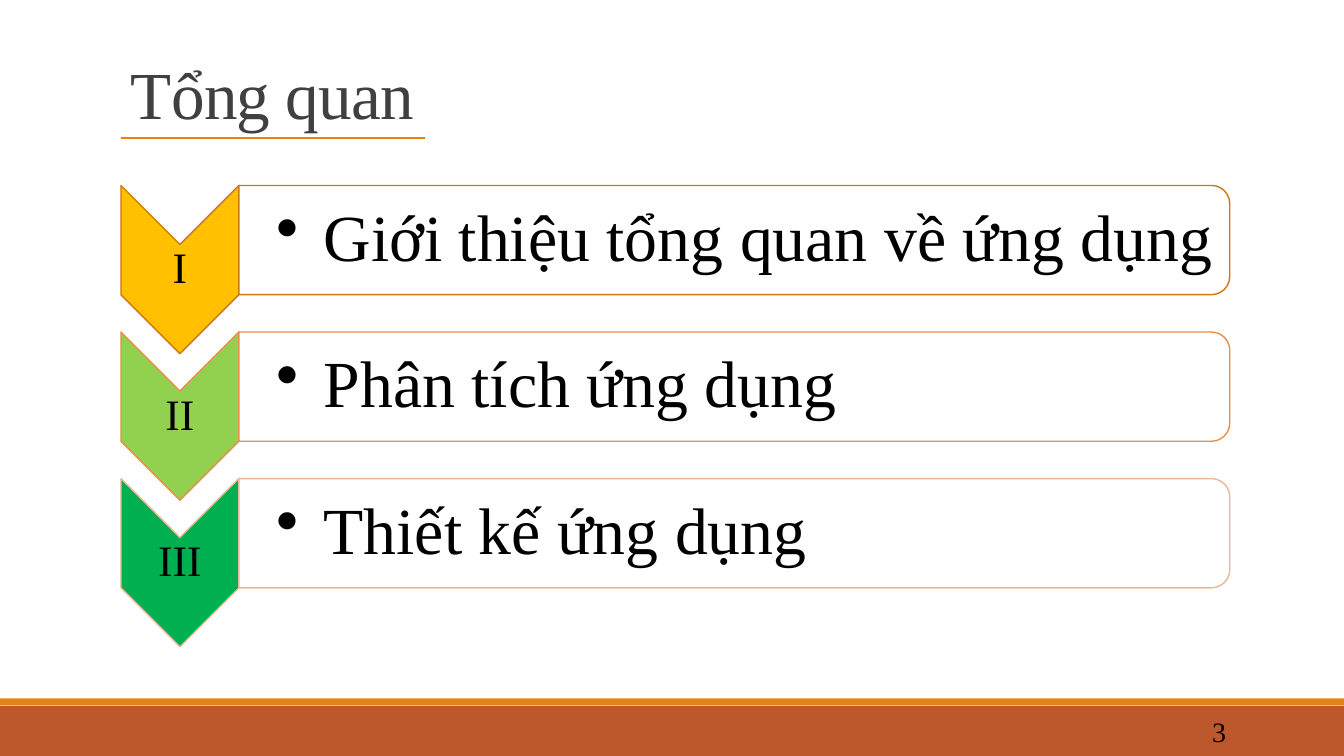
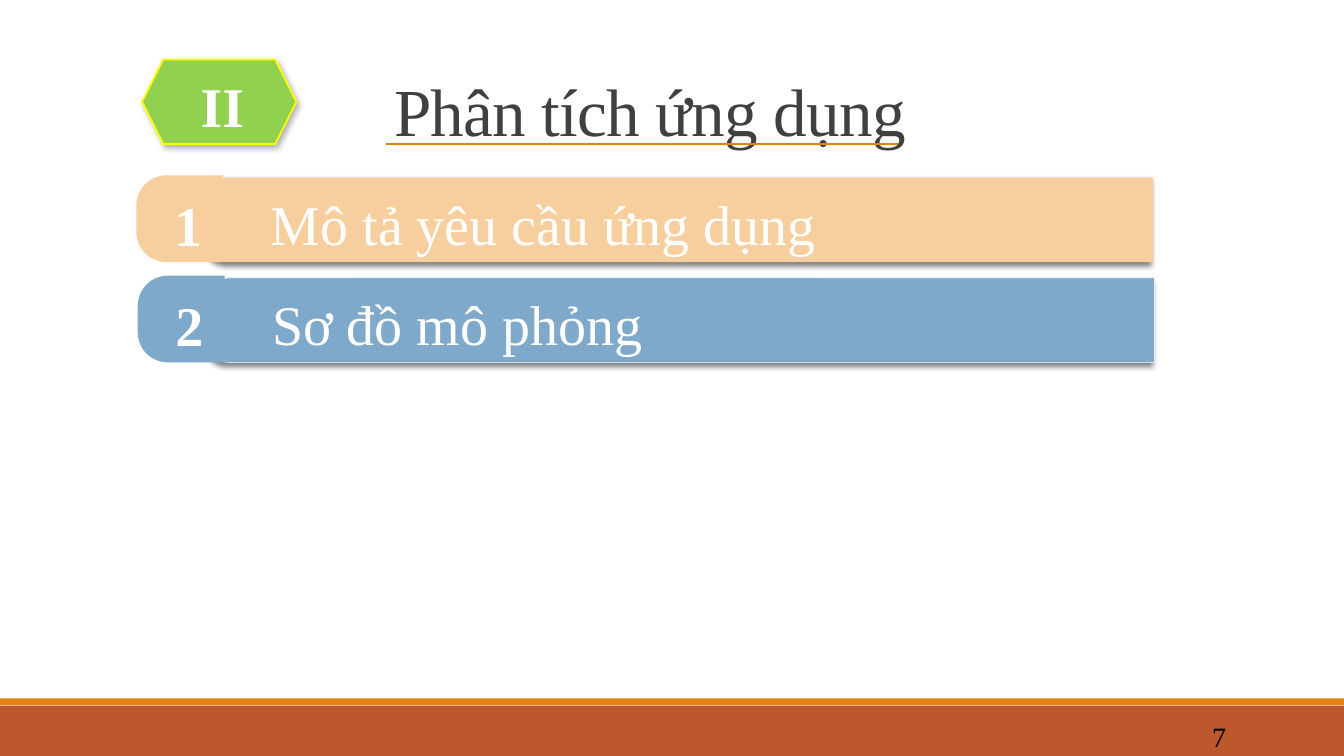
from pptx import Presentation
from pptx.dml.color import RGBColor
from pptx.enum.shapes import MSO_CONNECTOR as Connector, MSO_SHAPE as Shape
from pptx.enum.text import MSO_ANCHOR as Anchor, PP_ALIGN as Align
from pptx.oxml.ns import qn
from pptx.util import Pt
from lxml.etree import SubElement

FONT = "Times New Roman"
BLACK, WHITE, TITLE_GRAY = "000000", "FFFFFF", "404040"
ORANGE, RUST, GREEN = "E48312", "BD582C", "92D050"
WIDTH, HEIGHT = 960, 540

OVERVIEW = {
    "title": "Tổng quan",
    "title_box": (86.4, 35.3, 792, 63.4),
    "underline": (86.4, 303.8, 98.6),
    "number": "3",
    "number_top": 508.3,
}
CHAPTERS = [
    ("I", "Giới thiệu tổng quan về ứng dụng", "FFC000", "CF7710"),
    ("II", "Phân tích ứng dụng", GREEN, "E8904A"),
    ("III", "Thiết kế ứng dụng", "00B050", "ECB698"),
]
ANALYSIS = {
    "title": "Phân tích ứng dụng",
    "title_box": (274.6, 20.9, 640, 90),
    "underline": (275.8, 641.5, 103),
    "number": "7",
    "number_top": 511.2,
}
TOPICS = [
    ("1", "Mô tả yêu cầu ứng dụng", "F7CE9D", None),
    ("2", "Sơ đồ mô phỏng", "7EA9CA", WHITE),
]


def color(value):
    return RGBColor.from_string(value)


def add_box(page, kind, frame, fill, line=None, weight=1, turn=0, adjust=()):
    left, top, width, height = frame
    if turn in (90, 270):
        left, top = left + (width - height) / 2, top + (height - width) / 2
        width, height = height, width
    box = page.shapes.add_shape(kind, Pt(left), Pt(top), Pt(width), Pt(height))
    box.rotation = turn
    for index, value in enumerate(adjust):
        box.adjustments[index] = value
    box.fill.solid()
    box.fill.fore_color.rgb = color(fill)
    if line:
        box.line.color.rgb = color(line)
        box.line.width = Pt(weight)
    else:
        box.line.fill.background()
    box.shadow.inherit = False
    return box


def add_shadow(box, alpha, blur, distance, angle):
    effects = box._element.spPr.find(qn("a:effectLst"))
    shadow = SubElement(effects, qn("a:outerShdw"), blurRad=str(Pt(blur)),
                        dist=str(Pt(distance)), dir=str(angle * 60000),
                        algn="ctr", rotWithShape="0")
    tint = SubElement(shadow, qn("a:srgbClr"), val=BLACK)
    SubElement(tint, qn("a:alpha"), val=str(alpha * 1000))


def add_text(page, frame, text, size, ink, align=Align.LEFT, anchor=Anchor.MIDDLE,
             bold=False, spacing=None, margins=(7.2, 3.6, 7.2, 3.6)):
    box = page.shapes.add_textbox(*map(Pt, frame))
    body = box.text_frame
    body.word_wrap = True
    body.vertical_anchor = anchor
    (body.margin_left, body.margin_top,
     body.margin_right, body.margin_bottom) = map(Pt, margins)
    para = body.paragraphs[0]
    para.text = text
    para.alignment = align
    if spacing:
        para.line_spacing = spacing
    font = para.font
    font.name, font.size, font.bold = FONT, Pt(size), bold
    font.color.rgb = color(ink)
    return para


def add_bullet(para, indent):
    props = para._p.get_or_add_pPr()
    props.set("marL", str(Pt(indent)))
    props.set("indent", str(-Pt(indent)))
    bullet = props.makeelement(qn("a:buChar"), {"char": "•"})
    props.find(qn("a:defRPr")).addprevious(bullet)


def add_page(deck, content):
    page = deck.slides.add_slide(deck.slide_layouts[6])
    add_box(page, Shape.RECTANGLE, (0, 504, WIDTH, 36), RUST)
    add_box(page, Shape.RECTANGLE, (0, 498.8, WIDTH, 5), ORANGE)
    title = add_text(page, content["title_box"], content["title"], 48, TITLE_GRAY,
                     anchor=Anchor.BOTTOM, spacing=0.85)
    title.runs[0]._r.get_or_add_rPr().set("spc", "-50")
    start, end, level = map(Pt, content["underline"])
    rule = page.shapes.add_connector(Connector.STRAIGHT, start, level, end, level)
    rule.line.color.rgb = color(ORANGE)
    rule.line.width = Pt(1.5)
    SubElement(rule._element.spPr, qn("a:effectLst"))
    add_text(page, (779.8, content["number_top"], 103, 28.8), content["number"],
             20, BLACK, Align.RIGHT)
    return page


def add_chapter(page, top, numeral, text, fill, line):
    add_box(page, Shape.CHEVRON, (86.4, top, 84.2, 120.2), fill, line, turn=90)
    add_text(page, (86.4, top + 42.2, 84.2, 36), numeral, 31, BLACK, Align.CENTER,
             spacing=0.9, margins=(1.4,) * 4)
    add_box(page, Shape.ROUND_2_SAME_RECTANGLE, (170.6, top, 707.8, 78), WHITE, line,
            turn=90)
    para = add_text(page, (170.6, top + 3.6, 704.2, 70.6), text, 47, BLACK,
                    spacing=0.9, margins=(26.6, 2.2, 2.2, 2.2))
    add_bullet(para, 34)


def add_topic(page, left, top, number, text, fill, line):
    bar = add_box(page, Shape.ROUND_2_SAME_RECTANGLE,
                  (left + 50.8, top + 1.6, 675.4, 60.5), fill, line, 0.25, 270,
                  (0.233, 0))
    add_shadow(bar, 50, 4, 3, 135)
    add_box(page, Shape.ROUND_2_SAME_RECTANGLE, (left, top, 62, 62), fill,
            turn=270, adjust=(0.347, 0))
    add_text(page, (left + 89, top + 6.3, 466, 55.4), text, 40, WHITE,
             anchor=Anchor.TOP)
    add_text(page, (left + 6.3, top + 7, 61.2, 55.4), number, 40, WHITE,
             Align.CENTER, bold=True)


def main():
    deck = Presentation()
    deck.slide_width, deck.slide_height = Pt(WIDTH), Pt(HEIGHT)

    overview = add_page(deck, OVERVIEW)
    for index, chapter in enumerate(CHAPTERS):
        add_chapter(overview, 132.5 + index * 104.7, *chapter)

    analysis = add_page(deck, ANALYSIS)
    badge = add_box(analysis, Shape.HEXAGON, (101.5, 42.5, 110.2, 60.5), GREEN,
                    "FFFF00", 1.25)
    add_shadow(badge, 30, 4.5, 2.6, 53)
    add_text(analysis, (128.2, 47.5, 61.2, 55.4), "II", 40, WHITE, Align.CENTER,
             bold=True)
    for index, topic in enumerate(TOPICS):
        add_topic(analysis, 97.4 + index, 125.2 + index * 71.7, *topic)

    deck.save("out.pptx")


if __name__ == "__main__":
    main()
